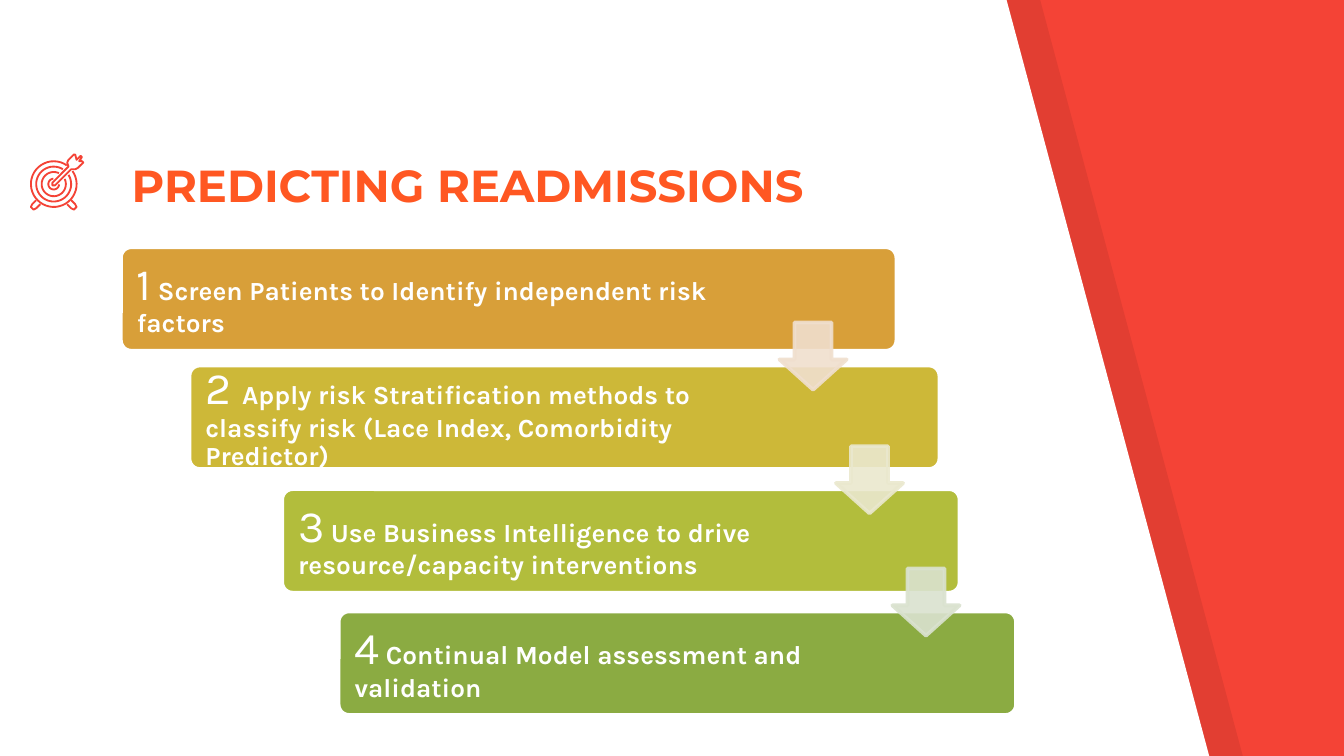
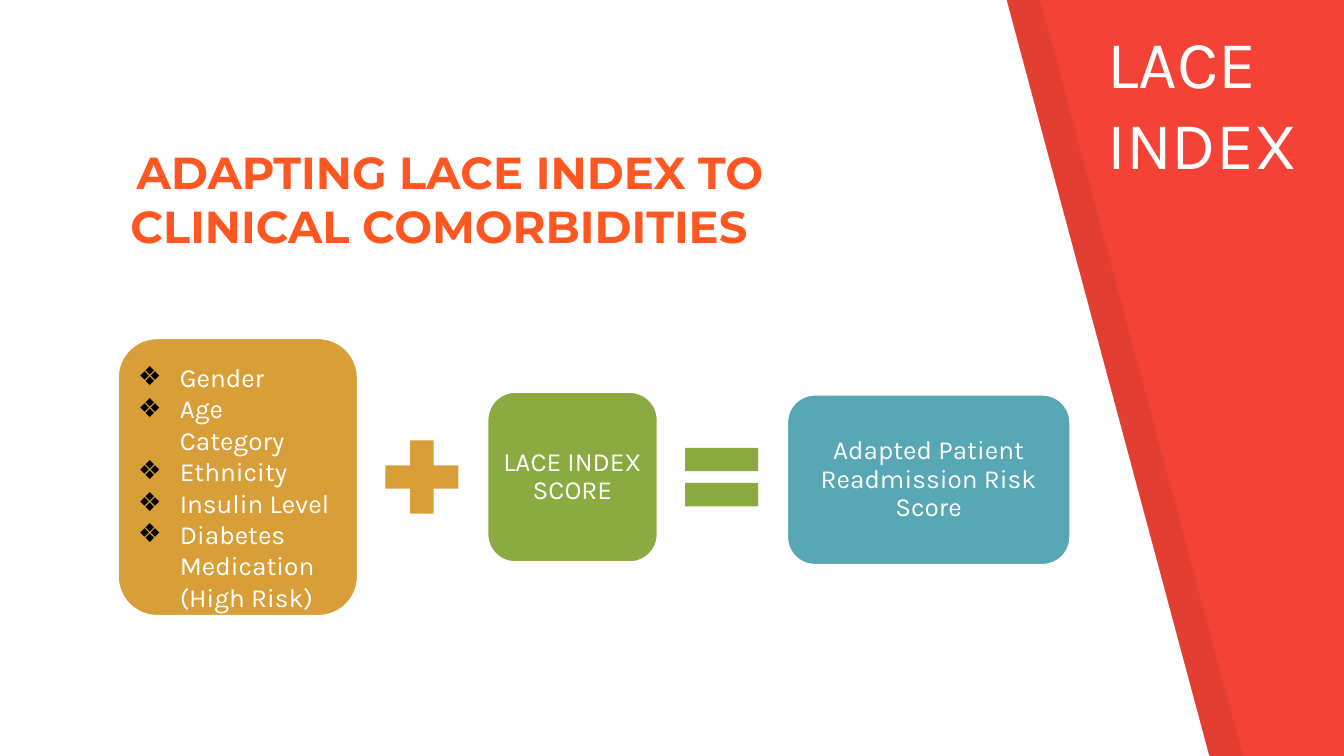
from dataclasses import dataclass
from math import asin, cos, pi, sin

from lxml.etree import SubElement
from pptx import Presentation
from pptx.dml.color import RGBColor
from pptx.enum.shapes import MSO_SHAPE
from pptx.enum.text import MSO_ANCHOR, MSO_AUTO_SIZE, PP_ALIGN
from pptx.oxml.ns import qn
from pptx.util import Emu, Pt

# Shared scale, colours and fonts
PX = 9144  # 100 px to the inch
W = 1000
H = W * 9 / 16  # widescreen
RED, WHITE, BLACK, TITLE = "F44336", "FFFFFF", "000000", "FF5722"
AMBER, MUSTARD, LIME, GREEN, TEAL = "D89F39", "CDB838", "B2BD3C", "8BAB42", "57A7B5"
BODY_FONT, TITLE_FONT = "Karla", "Montserrat"


@dataclass(frozen=True)
class Box:
    x: int
    y: int
    w: int
    h: int

    def emu(self) -> tuple:
        return tuple(Emu(v * PX) for v in (self.x, self.y, self.w, self.h))


@dataclass(frozen=True)
class Run:
    text: str
    size: int = 14
    bold: bool = False
    color: str = WHITE
    font: str = BODY_FONT


@dataclass(frozen=True)
class Step:
    box: Box
    text_w: int
    color: str
    runs: tuple


@dataclass(frozen=True)
class Part:
    box: Box
    color: str
    kind: MSO_SHAPE = MSO_SHAPE.ROUNDED_RECTANGLE
    text: str = ""


def rgb(color: str) -> RGBColor:
    return RGBColor.from_string(color)


def paint(fmt, color: str, alpha: int = 100) -> None:
    """Apply a solid colour to a fill, with optional opacity in percent."""
    fmt.solid()
    fmt.fore_color.rgb = rgb(color)
    if alpha < 100:
        clr = fmt._xPr.find(qn("a:solidFill"))[0]
        SubElement(clr, qn("a:alpha"), val=str(alpha * 1000))


def add_shape(s, kind, box: Box, color: str, line: str = "", alpha: int = 100, adj=()):
    sp = s.shapes.add_shape(kind, *box.emu())
    sp.shadow.inherit = False
    paint(sp.fill, color, alpha)
    if line:
        sp.line.width = Pt(2)
        paint(sp.line.fill, line, alpha)
    else:
        sp.line.fill.background()
    for i, value in enumerate(adj):
        sp.adjustments[i] = value
    return sp


def add_outline(s, points, closed: bool = True):
    emu = [(x * PX, y * PX) for x, y in points]
    builder = s.shapes.build_freeform(*emu[0])
    builder.add_line_segments(emu[1:], close=closed)
    sp = builder.convert_to_shape()
    sp.shadow.inherit = False
    return sp


def set_frame(tf, anchor, inset_x: int = 10, inset_y: int = 10) -> None:
    tf.word_wrap = True
    tf.auto_size = MSO_AUTO_SIZE.NONE
    tf.vertical_anchor = anchor
    tf.margin_left = tf.margin_right = Emu(inset_x * PX)
    tf.margin_top = tf.margin_bottom = Emu(inset_y * PX)


def fill_text(tf, paragraphs, align=PP_ALIGN.LEFT, spacing: float = 1.0) -> None:
    for i, runs in enumerate(paragraphs):
        p = tf.add_paragraph() if i else tf.paragraphs[0]
        p.alignment = align
        p.line_spacing = spacing
        for run in runs:
            r = p.add_run()
            r.text = run.text
            r.font.name = run.font
            r.font.size = Pt(run.size)
            r.font.bold = run.bold
            r.font.color.rgb = rgb(run.color)


def add_text(s, box: Box, paragraphs, anchor=MSO_ANCHOR.MIDDLE, inset_x: int = 10,
             inset_y: int = 10, align=PP_ALIGN.LEFT, spacing: float = 1.0):
    tf = s.shapes.add_textbox(*box.emu()).text_frame
    set_frame(tf, anchor, inset_x, inset_y)
    fill_text(tf, paragraphs, align, spacing)
    return tf


def add_bullets(tf, char: str, color: str, indent: int) -> None:
    for p in tf.paragraphs:
        pPr = p._p.get_or_add_pPr()
        pPr.set("marL", str(indent * PX))
        pPr.set("indent", str(-indent * PX))
        SubElement(SubElement(pPr, qn("a:buClr")), qn("a:srgbClr"), val=color)
        SubElement(pPr, qn("a:buFont"), typeface=BODY_FONT)
        SubElement(pPr, qn("a:buChar"), char=char)


def set_title(s, box: Box, *runs: Run) -> None:
    title = s.shapes.title
    title.left, title.top, title.width, title.height = box.emu()
    set_frame(title.text_frame, MSO_ANCHOR.BOTTOM)
    fill_text(title.text_frame, [runs])


def title_run(text: str, size: int = 24) -> Run:
    return Run(text, size, True, TITLE, TITLE_FONT)


def set_backdrop(prs, layout, s) -> None:
    """Give the layout its red ground, white panel and the panel's shade."""
    paint(prs.slide_master.background.fill, RED)
    for i, (left, color, alpha) in enumerate(((0, WHITE, 100), (25, BLACK, 7))):
        panel = add_outline(s, [(left, -1), (left, H + 1), (left + 900, H + 1),
                                (left + 749, 0)])
        paint(panel.fill, color, alpha)
        panel.line.fill.background()
        panel._element.nvSpPr.cNvPr.set("id", str(100 + i))
        layout.shapes._spTree.insert(2, panel._element)


# Target icon
CENTRE = (40, 137)
RING_RADII = (17, 13, 9, 4)
FOOT = [(27, 149), (24, 152), (23, 154), (25, 156), (27, 155), (30, 152)]
DART = [(61, 120), (59, 120), (61, 117), (60, 116), (57, 119), (56, 115), (55, 115),
        (51, 119), (50, 121), (51, 124), (39, 136), (39, 138), (41, 138), (53, 126),
        (56, 126), (58, 125), (62, 121)]


def ring(radius: int, gap: int = 3, count: int = 40) -> list:
    """Points of a circle left open at the upper right, where the dart passes."""
    half = asin(gap / radius)
    angles = (-pi / 4 + half + (2 * pi - 2 * half) * i / count for i in range(count + 1))
    return [(CENTRE[0] + radius * cos(a), CENTRE[1] + radius * sin(a)) for a in angles]


def add_target(s) -> None:
    mirrored_foot = [(2 * CENTRE[0] - x, y) for x, y in FOOT]
    curves = [ring(radius) for radius in RING_RADII] + [FOOT, mirrored_foot]
    for points, closed in [(c, False) for c in curves] + [(DART, True)]:
        sp = add_outline(s, points, closed)
        sp.fill.background()
        sp.line.width = Pt(1)
        paint(sp.line.fill, RED)


# Slide 1: four steps joined by arrows
STEPS = (
    Step(Box(90, 184, 577, 77), 474, AMBER,
         (Run("1", 24), Run(" "),
          Run("Screen Patients to Identify independent risk factors", bold=True))),
    Step(Box(141, 272, 558, 77), 451, MUSTARD,
         (Run("2 ", 24),
          Run("Apply risk Stratification methods to classify risk "
              "(Lace Index, Comorbidity Predictor)", bold=True))),
    Step(Box(210, 364, 504, 77), 408, LIME,
         (Run("3", 24), Run(" "),
          Run("Use Business Intelligence to drive resource/capacity interventions",
              bold=True))),
    Step(Box(252, 455, 504, 77), 407, GREEN,
         (Run("4", 24), Run(" "),
          Run("Continual Model assessment and validation", bold=True))),
)
ARROW_COLORS = ("F0DFCE", "EAE8CE", "DAE2CF")


def build_steps(s) -> None:
    set_title(s, Box(88, 104, 582, 63), title_run("PREDICTING READMISSIONS"))
    for step in STEPS:
        b = step.box
        add_shape(s, MSO_SHAPE.ROUNDED_RECTANGLE, b, step.color, WHITE, adj=(0.1,))
        add_text(s, Box(b.x + 2, b.y + 3, step.text_w, b.h - 4), [step.runs], spacing=0.9)
    for i, (color, following) in enumerate(zip(ARROW_COLORS, STEPS[1:])):
        add_shape(s, MSO_SHAPE.DOWN_ARROW, Box(580 + 42 * i, following.box.y - 32, 50, 50),
                  color, color, alpha=90, adj=(0.55, 0.45))
    add_target(s)


# Slide 2: factors plus index equals adapted score
EQUATION = (
    Part(Box(87, 251, 180, 208), AMBER),
    Part(Box(277, 318, 74, 74), AMBER, MSO_SHAPE.MATH_PLUS),
    Part(Box(362, 291, 128, 128), GREEN, text="LACE INDEX SCORE"),
    Part(Box(500, 318, 74, 74), GREEN, MSO_SHAPE.MATH_EQUAL),
    Part(Box(585, 293, 212, 128), TEAL, text="Adapted Patient Readmission Risk Score"),
)
FACTORS = ("Gender", "Age Category", "Ethnicity", "Insulin Level",
           "Diabetes Medication (High Risk)")


def build_equation(s) -> None:
    set_title(s, Box(87, 111, 582, 87), title_run(" ", 12),
              title_run("ADAPTING LACE INDEX TO CLINICAL COMORBIDITIES"))
    add_text(s, Box(814, 21, 174, 125), [[Run("LACE", 36)], [Run("INDEX", 36)]],
             MSO_ANCHOR.BOTTOM)
    for part in EQUATION:
        b = part.box
        is_block = part.kind == MSO_SHAPE.ROUNDED_RECTANGLE
        add_shape(s, part.kind, b, part.color, WHITE if is_block else "")
        if part.text:
            add_text(s, Box(b.x + 6, b.y + 6, b.w - 12, b.h - 12), [[Run(part.text)]],
                     inset_x=2, inset_y=2, align=PP_ALIGN.CENTER, spacing=0.9)
    tf = add_text(s, Box(93, 264, 163, 222), [[Run(factor)] for factor in FACTORS],
                  MSO_ANCHOR.TOP, inset_y=5)
    add_bullets(tf, "❖", BLACK, 31)


def main() -> None:
    prs = Presentation()
    prs.slide_width, prs.slide_height = Emu(W * PX), Emu(int(H * PX))
    layout = prs.slide_layouts[5]  # title only
    steps, equation = (prs.slides.add_slide(layout) for _ in range(2))
    set_backdrop(prs, layout, steps)
    build_steps(steps)
    build_equation(equation)
    prs.save("out.pptx")


if __name__ == "__main__":
    main()
